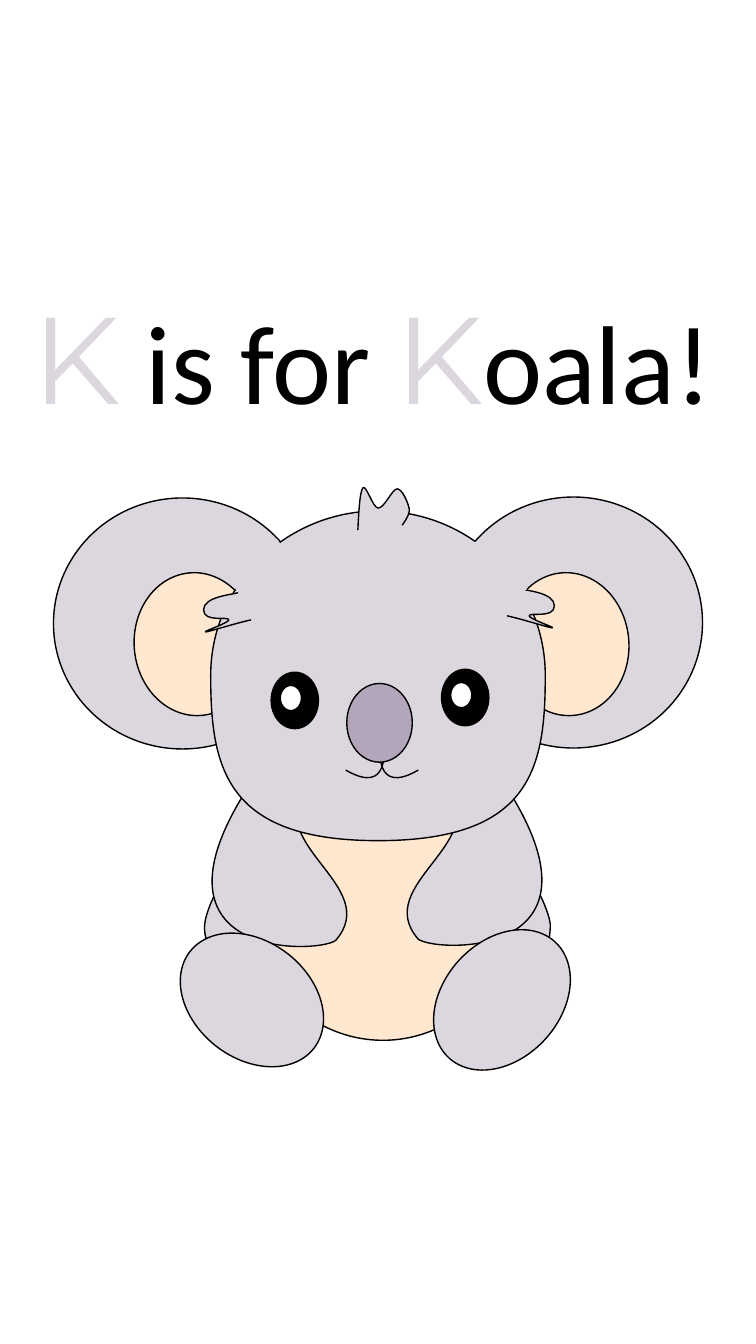
"""Build the alphabet slide "K is for Koala!" with a koala drawn from shapes."""
import math

import lxml.etree
import pptx
import pptx.dml.color
import pptx.enum.shapes
import pptx.enum.text
import pptx.oxml.ns
import pptx.util

COLORS = {
    "fur": "DCD6DF",
    "cream": "FFE7D0",
    "nose": "B3A6BA",
    "black": "000000",
    "white": "FFFFFF",
}

BODY = [(146.2, 660.2),
        (150.5, 625), (227.5, 525.6), (268.6, 525.6),
        (309.6, 525.6), (388.1, 624.2), (393.1, 660.2),
        (393.1, 718.6), (311.8, 739.4), (270.7, 739.4),
        (229.7, 739.4), (141.8, 696.2), (146.2, 660.2)]
LEFT_ARM = [(187.2, 547.9),
            (187.2, 547.9), (221.8, 560.2), (221.8, 560.2),
            (182.9, 601.9), (274.3, 632.2), (239.8, 671.8),
            (226.1, 681.8), (87.8, 686.2), (187.2, 547.9)]
HEAD = [(150.5, 482.4),
        (150.5, 417.6), (204.5, 365), (270, 365),
        (336.2, 365), (389.5, 417.6), (389.5, 482.4),
        (389.5, 547.9), (380.2, 600.5), (270, 600.5),
        (160.6, 600.5), (150.5, 547.9), (150.5, 482.4)]
RIGHT_SMILE = [(270.7, 529.2), (272.2, 533.5), (266.4, 568.8), (298.8, 550.1)]
HAIR = [(255.6, 378.7),
        (256.3, 365), (257, 351.4), (259.2, 348.5),
        (261.4, 345.6), (266.4, 362.9), (270, 362.9),
        (274.3, 363.6), (280.1, 349.2), (283.7, 349.2),
        (287.3, 349.2), (291.6, 359.3), (292.3, 363.6),
        (293, 367.9), (287.3, 375.1), (287.3, 375.1)]
LEFT_TUFT = [(179.3, 442.8),
             (166.3, 445.7), (149, 451.4), (146.9, 451.4),
             (144, 451.4), (163.4, 445), (163.4, 442.8),
             (163.4, 439.9), (145.4, 445), (145.4, 435.6),
             (145.4, 426.2), (165.6, 424.8), (169.9, 423.4)]
ARM_BOX = (154.8, 555.1, 102.2, 120.2)
TUFT_BOX = (149, 419.8, 22.3, 33.8)
SMILE_BOX = (270.7, 529.2, 28.8, 25.9)


def rgb(name):
    """Return the named colour."""
    return pptx.dml.color.RGBColor.from_string(COLORS[name])


def mirror(points, box, axis, lift=0):
    """Reflect points and their box about a vertical axis, raised by lift."""
    left, top, width, height = box
    return ([(2 * axis - x, y - lift) for x, y in points],
            (2 * axis - left - width, top - lift, width, height))


def localize(point, box, turn):
    """Return a point in the frame of a box turned by some degrees."""
    left, top, width, height = box
    dx, dy = point[0] - left - width / 2, point[1] - top - height / 2
    cos, sin = math.cos(math.radians(turn)), math.sin(math.radians(turn))
    return (pptx.util.Pt(width / 2 + dx * cos + dy * sin),
            pptx.util.Pt(height / 2 - dx * sin + dy * cos))


def add_step(outline, tag, points=()):
    """Append one drawing step to a freeform outline."""
    step = lxml.etree.SubElement(outline, pptx.oxml.ns.qn(tag))
    for x, y in points:
        lxml.etree.SubElement(step, pptx.oxml.ns.qn("a:pt"), x=str(x), y=str(y))


class Painter:
    """Hold the style and the current slide."""

    def __init__(self, page):
        """Start with a page and no drawing."""
        self.page = page
        self.line_width = pptx.util.Pt(1)
        self.drawing = None

    def title(self, left, top, width, height, spans):
        """Place the title with its (text, font, size, colour) spans."""
        box = self.page.shapes.title
        box.left, box.top, box.width, box.height = map(
            pptx.util.Pt, (left, top, width, height))
        frame = box.text_frame
        frame.word_wrap = True
        frame.auto_size = pptx.enum.text.MSO_AUTO_SIZE.NONE
        frame.vertical_anchor = pptx.enum.text.MSO_ANCHOR.TOP
        para = frame.paragraphs[0]
        para.alignment = pptx.enum.text.PP_ALIGN.CENTER
        for text, font, size, color in spans:
            span = para.add_run()
            span.text = text
            span.font.name = font
            span.font.size = pptx.util.Pt(size)
            span.font.color.rgb = rgb(color)

    def start_drawing(self):
        """Open the group that receives the following shapes."""
        self.drawing = self.page.shapes.add_group_shape().shapes

    def paint(self, shape, fill, outlined=True):
        """Apply the fill and the outline to a shape."""
        shape.shadow.inherit = False
        if fill:
            shape.fill.solid()
            shape.fill.fore_color.rgb = rgb(fill)
        else:
            shape.fill.background()
        if outlined:
            shape.line.color.rgb = rgb("black")
            shape.line.width = self.line_width
        else:
            shape.line.fill.background()

    def oval(self, left, top, width, height, fill, turn=0, outlined=True):
        """Draw an ellipse."""
        shape = self.drawing.add_shape(
            pptx.enum.shapes.MSO_SHAPE.OVAL,
            *map(pptx.util.Pt, (left, top, width, height)))
        shape.rotation = turn
        self.paint(shape, fill, outlined)

    def curve(self, points, box, fill=None, turn=0):
        """Draw Bezier curves in a box, closed when they return to the start."""
        left, top, width, height = map(pptx.util.Pt, box)
        builder = self.drawing.build_freeform(left, top)
        builder.add_line_segments([(left + width, top + height)], close=False)
        shape = builder.convert_to_shape()
        shape.rotation = turn % 360
        outline = next(shape._element.iter(pptx.oxml.ns.qn("a:path")))
        for step in list(outline):
            outline.remove(step)
        nodes = [localize(point, box, turn) for point in points]
        add_step(outline, "a:moveTo", nodes[:1])
        for first in range(0, len(nodes) - 1, 3):
            start, *controls, end = nodes[first:first + 4]
            if controls == [start, end]:
                add_step(outline, "a:lnTo", [end])
            else:
                add_step(outline, "a:cubicBezTo", [*controls, end])
        if points[0] == points[-1]:
            add_step(outline, "a:close")
        self.paint(shape, fill)


def draw_koala(painter):
    """Draw the koala from back to front."""
    painter.start_drawing()
    for left, top in ((38.2, 355.7), (317.5, 355)):
        painter.oval(left, top, 184.3, 179.3, "fur")
    for left in (354.2, 88.6):
        painter.oval(left, 416.2, 102.2, 87.8, "cream", turn=85.5)
    painter.curve(BODY, (146.2, 525.6, 247, 213.8), "fur")
    painter.oval(181.4, 560.2, 184.3, 182.9, "cream")
    painter.curve(LEFT_ARM, ARM_BOX, "fur", turn=15.3)
    painter.curve(*mirror(LEFT_ARM, ARM_BOX, 269.3, lift=0.9), "fur", turn=-15.3)
    painter.curve(HEAD, (150.5, 365, 239, 235.5), "fur")
    painter.curve(RIGHT_SMILE, SMILE_BOX)
    for left, top in ((315.4, 478.1), (193.7, 480.2)):
        painter.oval(left, top, 33.8, 40.3, "black")
        painter.oval(left + 6.5, top + 9.4, 15.1, 18, "white")
    painter.curve(HAIR, (255.6, 348.5, 36.7, 30.2), "fur")
    painter.curve(*mirror(LEFT_TUFT, TUFT_BOX, 270.7, lift=2.9), "fur", turn=-73)
    for left, turn in ((138.2, 308), (316.8, 42.4)):
        painter.oval(left, 658.1, 83.5, 112.3, "fur", turn)
    painter.curve(*mirror(RIGHT_SMILE, SMILE_BOX, 272.9))
    painter.oval(247.7, 488.2, 46.8, 56.2, "nose")
    painter.curve(LEFT_TUFT, TUFT_BOX, "fur", turn=73)
    painter.oval(172.1, 380.2, 23, 46.8, "fur", turn=37.4, outlined=False)
    painter.oval(345.6, 379.4, 23, 50.4, "fur", turn=311.3, outlined=False)


def main():
    """Build and save the deck."""
    deck = pptx.Presentation()
    deck.slide_width = pptx.util.Pt(540)
    deck.slide_height = pptx.util.Pt(960)
    page = deck.slides.add_slide(deck.slide_layouts[5])
    painter = Painter(page)
    initial = ("K", "Montserrat", 88, "fur")
    painter.title(-71.3, 197.6, 692.6, 113.8, [
        initial,
        (" is for ", "Calibri", 80, "black"),
        initial,
        ("oala! ", "Calibri", 80, "black"),
    ])
    draw_koala(painter)
    deck.save("out.pptx")


if __name__ == "__main__":
    main()
